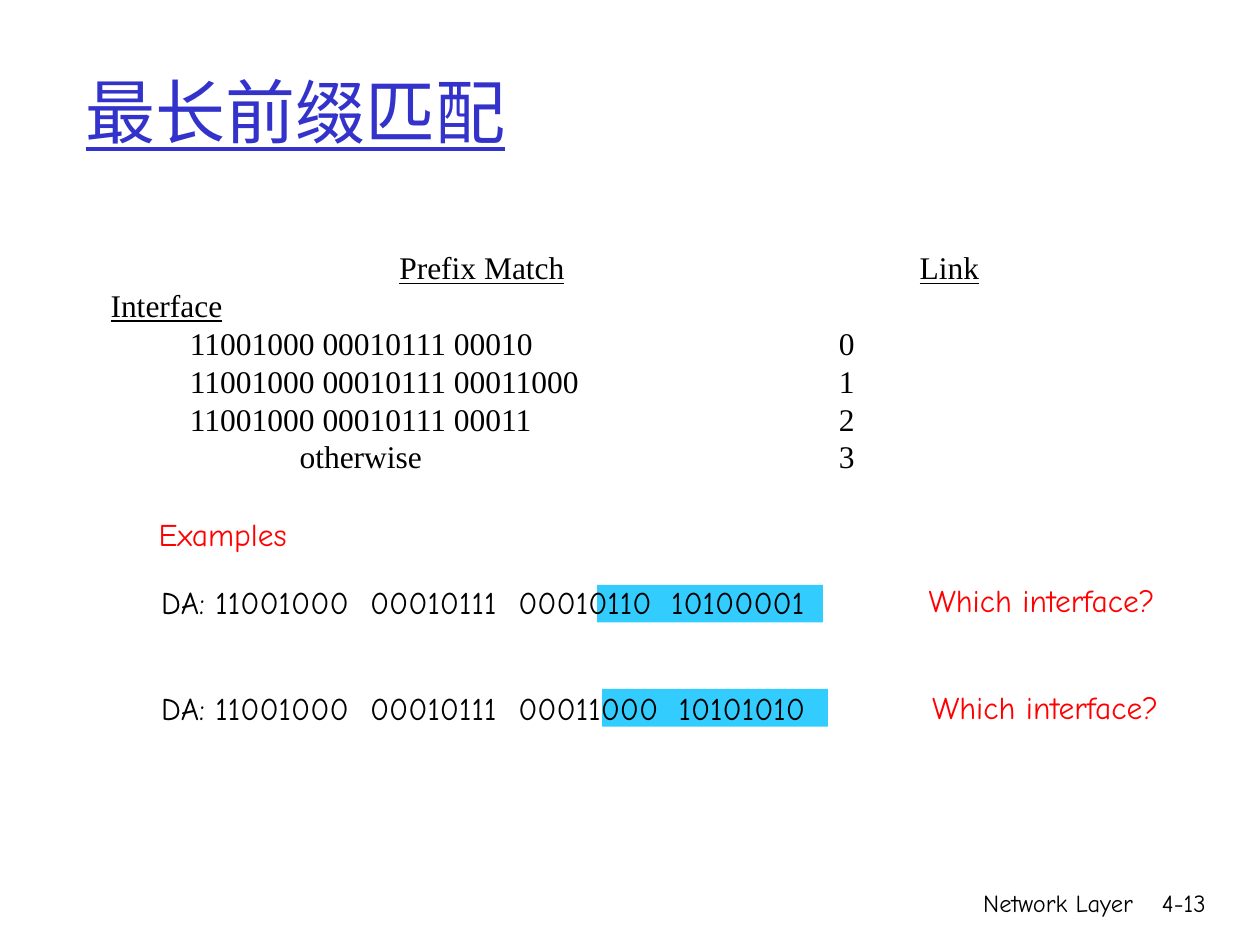
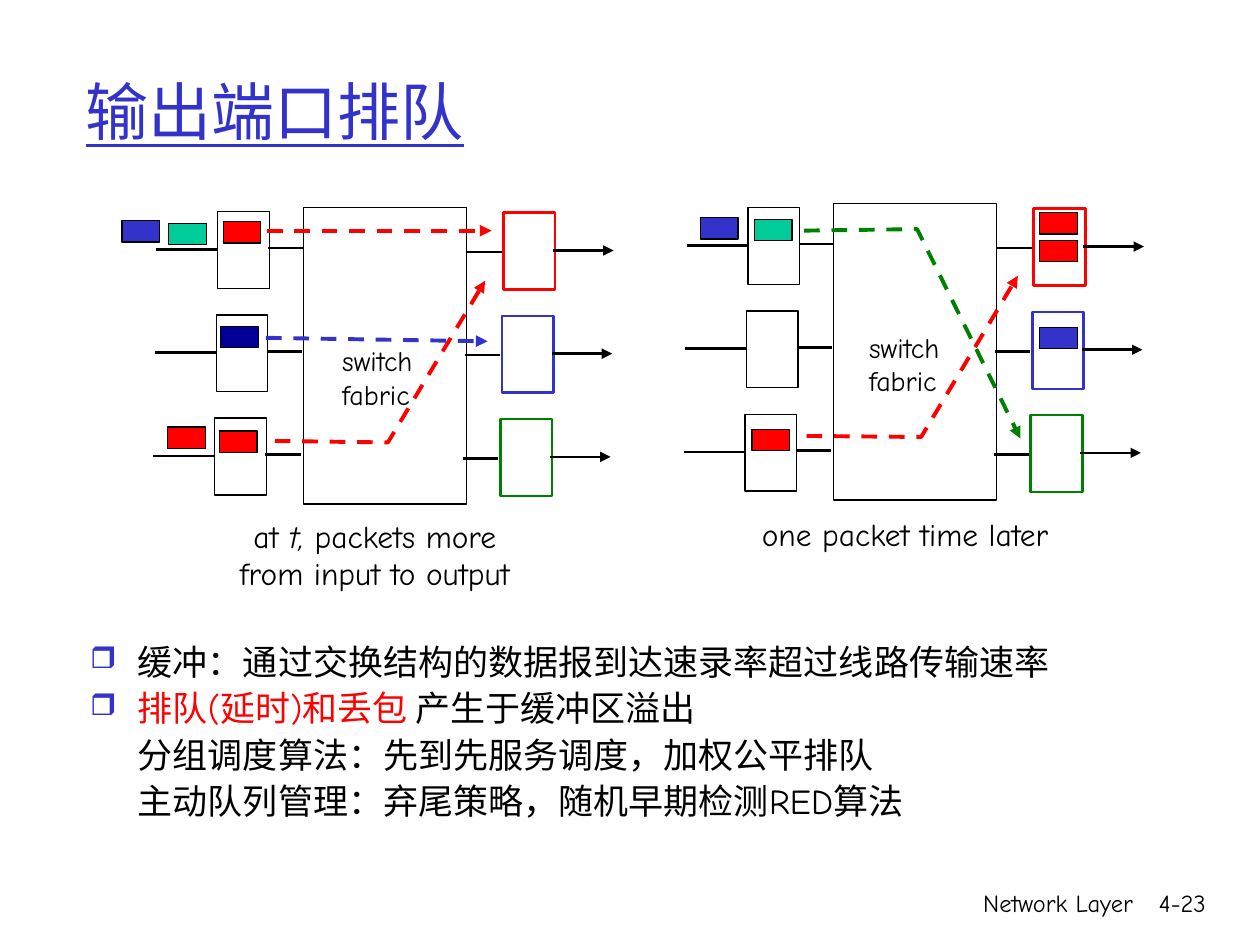
from itertools import cycle

from lxml.etree import SubElement
from pptx import Presentation
from pptx.dml.color import RGBColor
from pptx.enum.dml import MSO_LINE
from pptx.enum.shapes import MSO_CONNECTOR, MSO_SHAPE
from pptx.enum.text import MSO_ANCHOR, MSO_AUTO_SIZE, PP_ALIGN
from pptx.oxml.ns import qn
from pptx.util import Cm, Pt

COLOURS = {
    "black": "000000",
    "white": "FFFFFF",
    "blue": "3333CC",
    "navy": "000099",
    "red": "FF0000",
    "green": "008000",
    "teal": "00CC99",
    "sky": "33CCFF",
}
RGB = {name: RGBColor.from_string(value) for name, value in COLOURS.items()}
FONT = "Comic Neue"
SERIF = "Times New Roman"


def write(page, place, paragraphs, size=18, align=PP_ALIGN.LEFT, tab_stops=((),)):
    """Add a text box; a paragraph is a list of (text, colour, font settings)."""
    box = page.shapes.add_textbox(*map(Cm, place))
    frame = box.text_frame
    frame.word_wrap = True
    for index, (spans, stops) in enumerate(zip(paragraphs, cycle(tab_stops))):
        para = frame.add_paragraph() if index else frame.paragraphs[0]
        para.alignment = align
        if stops:
            tab_list = SubElement(para._p.get_or_add_pPr(), qn("a:tabLst"))
            for stop in stops:
                SubElement(tab_list, qn("a:tab"), pos=str(Cm(stop)), algn="l")
        for text, colour, settings in spans:
            span = para.add_run()
            span.text = text
            span.font.name = FONT
            span.font.size = Pt(size)
            span.font.color.rgb = RGB[colour]
            for setting, value in settings.items():
                setattr(span.font, setting, value)
    return box


def draw_line(page, points, colour="black", width=1.5, dashed=False, arrow=False):
    """Draw a straight connector, or an open outline through more than two points."""
    points = [(Cm(x), Cm(y)) for x, y in points]
    if len(points) == 2:
        line = page.shapes.add_connector(MSO_CONNECTOR.STRAIGHT, *points[0], *points[1])
    else:
        builder = page.shapes.build_freeform(*points[0])
        builder.add_line_segments(points[1:], close=False)
        line = builder.convert_to_shape()
        line.fill.background()
    line.line.color.rgb = RGB[colour]
    line.line.width = Pt(width)
    if dashed:
        line.line.dash_style = MSO_LINE.DASH
    if arrow:
        SubElement(line.line._get_or_add_ln(), qn("a:tailEnd"), type="triangle")
    SubElement(line._element.spPr, qn("a:effectLst"))


deck = Presentation()
deck.slide_width = Cm(25.4)
deck.slide_height = Cm(19.05)

# Titles and footers
for title_text, title_size, number in [("最长前缀匹配", 40, "4-13"), ("输出端口排队", 36, "4-23")]:
    page = deck.slides.add_slide(deck.slide_layouts[5])
    title = page.shapes.title
    title.left, title.top, title.width, title.height = map(Cm, (1.47, 0.64, 21.59, 3.18))
    frame = title.text_frame
    frame.auto_size = MSO_AUTO_SIZE.NONE
    frame.vertical_anchor = MSO_ANCHOR.MIDDLE
    para = frame.paragraphs[0]
    para.alignment = PP_ALIGN.LEFT
    span = para.add_run()
    span.text = title_text
    span.font.name = FONT
    span.font.size = Pt(title_size)
    span.font.underline = True
    span.font.color.rgb = RGB["blue"]
    for left, width, text in [(15.04, 8.05, "Network Layer"), (22.68, 1.88, number)]:
        write(page, (left, 17.78, width, 1.27), [[(text, "black", {})]], 14, PP_ALIGN.RIGHT)

prefix_page, queue_page = deck.slides

# Longest prefix match: forwarding table
serif = {"name": SERIF}
heading = {"name": SERIF, "underline": True}
rows = [
    ("11001000 00010111 00010", "0"),
    ("11001000 00010111 00011000", "1"),
    ("11001000 00010111 00011", "2"),
    ("otherwise", "3"),
]
prefix_lines = [[
    ("\t", "black", serif),
    ("Prefix Match", "black", heading),
    ("\t", "black", serif),
    ("Link Interface", "black", heading),
]]
prefix_lines += [[(f"\t{prefix}\t{link}", "black", serif)] for prefix, link in rows]
prefix_stops = [(5.82, 16.31)] + [(1.6, 14.68)] * 3 + [(3.81, 14.68)]
prefix_box = write(prefix_page, (1.98, 4.88, 18.3, 4.83), prefix_lines, tab_stops=prefix_stops)
prefix_box.text_frame.vertical_anchor = MSO_ANCHOR.MIDDLE
for para in prefix_box.text_frame.paragraphs:
    para.line_spacing = Pt(21.6)

# Longest prefix match: examples
write(prefix_page, (2.95, 10.26, 3.5, 1.02), [[("Examples", "red", {})]])
examples = [
    ("DA: 11001000\t00010111\t00010110\t10100001", 11.63, 12.04, 11.79, 18.47, 11.58, 10.28),
    ("DA: 11001000\t00010111\t00011000\t10101010", 13.77, 12.14, 13.89, 18.54, 13.74, 10.43),
]
for address, top, mark_left, mark_top, question_left, question_top, last_stop in examples:
    mark = prefix_page.shapes.add_shape(
        MSO_SHAPE.RECTANGLE, Cm(mark_left), Cm(mark_top), Cm(4.55), Cm(0.76))
    mark.shadow.inherit = False
    mark.fill.solid()
    mark.fill.fore_color.rgb = RGB["sky"]
    mark.line.fill.background()
    write(prefix_page, (3, top, 14.5, 1.02), [[(address, "black", {})]],
          tab_stops=[(4.21, 7.2, last_stop)])
    write(prefix_page, (question_left, question_top, 5.6, 1.02),
          [[("Which interface?", "red", {})]])

# Output port queueing: two switches, the second shifted from the first
ROW_PITCH = 2.08
ROW_SHIFT = -0.03
diagrams = [
    {
        "shift": (0, 0),
        "label": (6.65, 6.81),
        "caption": (4.14, 10.29),
        "caption_lines": [
            [("at ", "black", {}), ("t,", "black", {"italic": True}),
             (" packets more", "black", {})],
            [("from input to output", "black", {})],
        ],
        "packets": [
            (4.5, 4.47, "red"), (4.45, 6.58, "navy"), (4.42, 8.69, "red"),
            (3.4, 4.5, "teal"), (3.38, 8.61, "red"), (2.46, 4.45, "blue"),
        ],
        "flows": [
            ("red", [(5.38, 4.65), (9.91, 4.65)]),
            ("red", [(5.54, 8.89), (7.82, 8.92), (9.78, 5.66)]),
            ("blue", [(5.36, 6.81), (9.83, 6.88)]),
        ],
    },
    {
        "shift": (10.69, -0.08),
        "label": (17.27, 6.53),
        "caption": (14.83, 10.26),
        "caption_lines": [[("one packet time later", "black", {})]],
        "packets": [
            (20.96, 4.29, "red"), (20.96, 4.85, "red"), (20.96, 6.6, "blue"),
            (15.21, 4.42, "teal"), (15.16, 8.66, "red"), (14.12, 4.39, "blue"),
        ],
        "flows": [
            ("red", [(16.26, 8.79), (18.57, 8.81), (20.52, 5.56)]),
            ("green", [(16.21, 4.65), (18.49, 4.62), (20.57, 8.84)]),
        ],
    },
]
for diagram in diagrams:
    shift_x, shift_y = diagram["shift"]
    blocks = [(6.12 + shift_x, 4.19 + shift_y, 3.28, 5.97, "white", "black", 0.75)]
    wires = []
    for row, port_colour in enumerate(["red", "blue", "green"]):
        x = shift_x + row * ROW_SHIFT
        y = shift_y + row * ROW_PITCH
        blocks.append((4.39 + x, 4.27 + y, 1.04, 1.55, "white", "black", 0.75))
        blocks.append((10.15 + x, 4.29 + y, 1.04, 1.55, "white", port_colour, 1.5))
        wires += [
            (3.15 + x, 4.39 + x, 5.03 + y, False),
            (5.41 + x, 6.12 + x, 5 + y, False),
            (9.4 + x, 10.11 + x, 5.08 + y, False),
            (11.15 + x, 12.37 + x, 5.05 + y, True),
        ]
    blocks += [(left, top, 0.76, 0.43, colour, "black", 0.75)
               for left, top, colour in diagram["packets"]]

    for left, top, width, height, fill, outline, weight in blocks:
        block = queue_page.shapes.add_shape(
            MSO_SHAPE.RECTANGLE, Cm(left), Cm(top), Cm(width), Cm(height))
        block.shadow.inherit = False
        block.fill.solid()
        block.fill.fore_color.rgb = RGB[fill]
        block.line.color.rgb = RGB[outline]
        block.line.width = Pt(weight)
    for start, end, y, arrow in wires:
        draw_line(queue_page, [(start, y), (end, y)], arrow=arrow)
    write(queue_page, (*diagram["label"], 2.2, 1.63),
          [[("switch", "black", {})], [("fabric", "black", {})]], 16)
    for colour, points in diagram["flows"]:
        draw_line(queue_page, points, colour, 2.25, dashed=True, arrow=True)
    caption_lines = diagram["caption_lines"]
    write(queue_page, (*diagram["caption"], 6.83, 0.25 + 0.76 * len(caption_lines)),
          caption_lines, align=PP_ALIGN.CENTER)

# Output port queueing: remarks
remarks = write(queue_page, (1.57, 12.88, 22.5, 3.86), [
    [("缓冲：通过交换结构的数据报到达速录率超过线路传输速率", "black", {})],
    [("排队(延时)和丢包 ", "red", {}), ("产生于缓冲区溢出", "black", {})],
    [("分组调度算法：先到先服务调度，加权公平排队", "black", {})],
    [("主动队列管理：弃尾策略，随机早期检测RED算法", "black", {})],
], 20)
for index, para in enumerate(remarks.text_frame.paragraphs):
    properties = para._p.get_or_add_pPr()
    properties.set("marL", str(Cm(0.96)))
    if index < 2:
        properties.set("indent", str(-Cm(0.96)))
        bullet_colour = SubElement(properties, qn("a:buClr"))
        SubElement(bullet_colour, qn("a:srgbClr"), val=COLOURS["blue"])
        SubElement(properties, qn("a:buSzPct"), val="85000")
        SubElement(properties, qn("a:buChar"), char="❒")
    para.line_spacing = 0.9
    if index:
        para.space_before = Pt(5)

deck.save("out.pptx")
